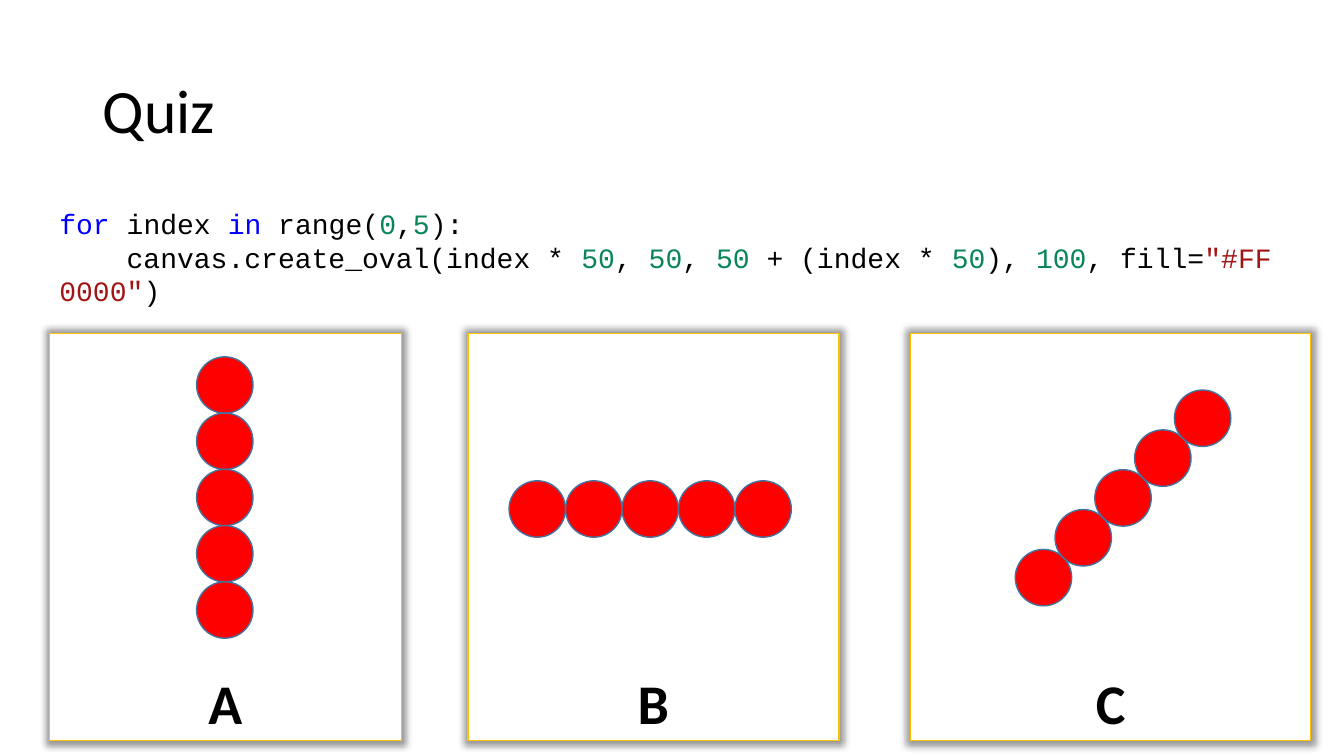
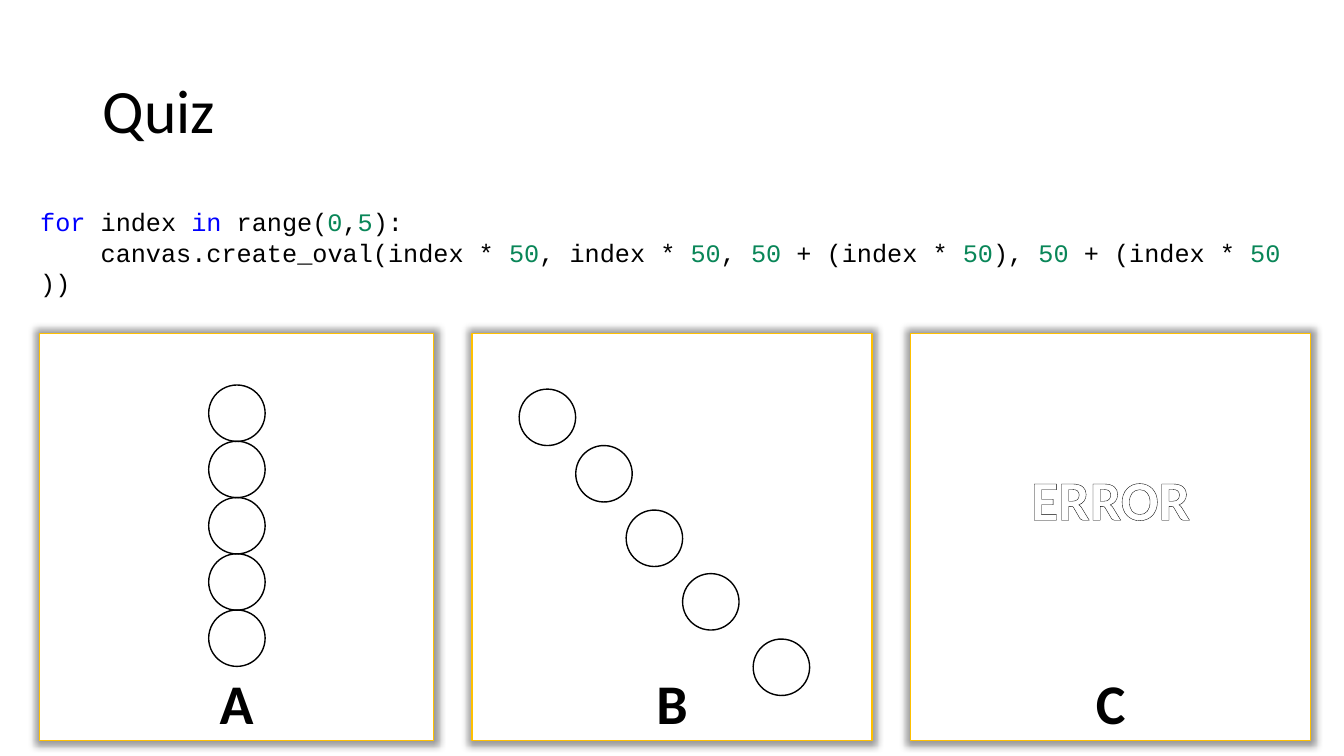
from lxml.etree import SubElement
from pptx import Presentation
from pptx.dml.color import RGBColor
from pptx.enum.shapes import MSO_SHAPE
from pptx.enum.text import MSO_ANCHOR, MSO_AUTO_SIZE, PP_ALIGN
from pptx.oxml import parse_xml
from pptx.oxml.ns import nsdecls, qn
from pptx.util import Inches, Pt

WIDTH, HEIGHT = 13.33, 7.5
BLACK, WHITE, RED = "000000", "FFFFFF", "FF0000"
GOLD, STEEL = "FFC000", "43739E"
KEYWORD, NUMBER, STRING = "0000FF", "098658", "A31515"
DIAMETER = 0.56


def rgb(code):
    """Turn a hex string into a colour."""
    return RGBColor.from_string(code)


def across(share):
    """Length of a percentage of the slide's width."""
    return Inches(WIDTH * share / 100)


def down(share):
    """Length of a percentage of the slide's height."""
    return Inches(HEIGHT * share / 100)


def write(paragraph, text, size, color=BLACK, font="Calibri", bold=False, outline=None):
    """Add one formatted run to a paragraph."""
    run = paragraph.add_run()
    run.text = text
    run.font.size, run.font.name, run.font.bold = Pt(size), font, bold
    run.font.color.rgb = rgb(color)
    if outline:
        run.font._element.insert(0, parse_xml(
            f'<a:ln {nsdecls("a")} w="6600"><a:solidFill>'
            f'<a:srgbClr val="{outline}"/></a:solidFill></a:ln>'))


def token_color(token):
    """Choose the syntax colour of a code token."""
    if token in ("for", "in"):
        return KEYWORD
    if token.isdigit():
        return NUMBER
    return STRING if token.startswith('"') else BLACK


class QuizDeck:
    """Holds the quiz style and the current slide."""

    def __init__(self):
        """Start an empty wide deck."""
        self.deck = Presentation()
        self.deck.slide_width, self.deck.slide_height = Inches(WIDTH), Inches(HEIGHT)
        self.slide = None

    def new_slide(self, heading):
        """Add a slide with its title."""
        self.slide = self.deck.slides.add_slide(self.deck.slide_layouts[5])
        title = self.slide.shapes.title
        title.left, title.top = across(6.9), down(5.33)
        title.width, title.height = across(86.27), down(19.33)
        frame = title.text_frame
        frame.vertical_anchor, frame.auto_size = MSO_ANCHOR.MIDDLE, MSO_AUTO_SIZE.NONE
        paragraph = frame.paragraphs[0]
        paragraph.alignment, paragraph.line_spacing = PP_ALIGN.LEFT, 0.9
        write(paragraph, heading, 44)

    def panel(self, letter, left, width, message=None):
        """Draw an answer panel with its letter at the bottom."""
        box = self.slide.shapes.add_shape(
            MSO_SHAPE.RECTANGLE, across(left), down(44.13), across(width), down(53.87))
        self.paint(box, WHITE, GOLD)
        glow = SubElement(box._element.spPr.find(qn("a:effectLst")), qn("a:outerShdw"),
                          blurRad="63500", sx="102000", sy="102000",
                          algn="ctr", rotWithShape="0")
        shade = SubElement(glow, qn("a:srgbClr"), val=BLACK)
        SubElement(shade, qn("a:alpha"), val="40000")
        frame = box.text_frame
        frame.word_wrap, frame.vertical_anchor = True, MSO_ANCHOR.BOTTOM
        caption = frame.paragraphs[0]
        if message:
            write(caption, message, 40, WHITE, bold=True, outline=BLACK)
            caption.alignment, caption.space_after = PP_ALIGN.CENTER, Pt(98)
            caption = frame.add_paragraph()
        caption.alignment = PP_ALIGN.CENTER
        write(caption, letter, 40, bold=True)

    def code(self, lines, left, width, size):
        """Write highlighted code whose tokens are separated by bars."""
        listing = self.slide.shapes.add_textbox(
            across(left), down(26.67), across(width), down(10))
        frame = listing.text_frame
        frame.word_wrap, frame.auto_size = True, MSO_AUTO_SIZE.SHAPE_TO_FIT_TEXT
        for number, line in enumerate(lines):
            paragraph = frame.add_paragraph() if number else frame.paragraphs[0]
            for token in line.split("|"):
                write(paragraph, token.replace(" ", "\u00a0"), size,
                      token_color(token), "Courier New")

    def circles(self, places, fill, line, rotation=0):
        """Draw a group of equal circles at the given places."""
        group = self.slide.shapes.add_group_shape()
        for left, top in places:
            circle = group.shapes.add_shape(
                MSO_SHAPE.OVAL, across(left), down(top), Inches(DIAMETER), Inches(DIAMETER))
            circle.rotation = rotation
            self.paint(circle, fill, line)

    def paint(self, shape, fill, line):
        """Set a shape's fill and thin outline."""
        shape.shadow.inherit = False
        if fill:
            shape.fill.solid()
            shape.fill.fore_color.rgb = rgb(fill)
        else:
            shape.fill.background()
        shape.line.color.rgb, shape.line.width = rgb(line), Pt(1)


def row_of_five(left, top, step_across, step_down):
    """Places of five circles at an equal step."""
    return [(left + i * step_across, top + i * step_down) for i in range(5)]


LOOP = "for| index |in| range(|0|,|5|):"

quiz = QuizDeck()

quiz.new_slide("Quiz")
quiz.panel("C", 67.74, 29.78)
quiz.panel("B", 34.81, 27.61)
quiz.panel("A", 3.68, 26.18)
quiz.code([LOOP, "    canvas.create_oval(index * |50|, |50|, |50| + (index * |50|), |100|"
                 ', fill=|"#FF0000"|)'], 3.68, 92.65, 20)
quiz.circles(row_of_five(14.63, 47.2, 0, 7.44), RED, STEEL)
quiz.circles(row_of_five(37.88, 63.6, 4.2, 0), RED, STEEL)
quiz.circles(row_of_five(75.54, 72.67, 2.96, -5.27), RED, STEEL, 315)

quiz.new_slide("Quiz")
quiz.panel("C", 67.74, 29.78, message="ERROR")
quiz.panel("B", 35.11, 29.78)
quiz.panel("A", 2.93, 29.33)
quiz.code([LOOP, "    canvas.create_oval(index * |50|, index * |50|, |50| + (index * |50|), "
                 "|50| + (index * |50|))"], 2.25, 94.07, 18)
quiz.circles([(38.63, 51.47), (42.84, 58.93), (46.59, 67.47), (50.79, 75.87),
              (56.04, 84.53)], WHITE, BLACK, 279)
quiz.circles(row_of_five(15.53, 50.93, 0, 7.44), None, BLACK)

quiz.deck.save("out.pptx")
